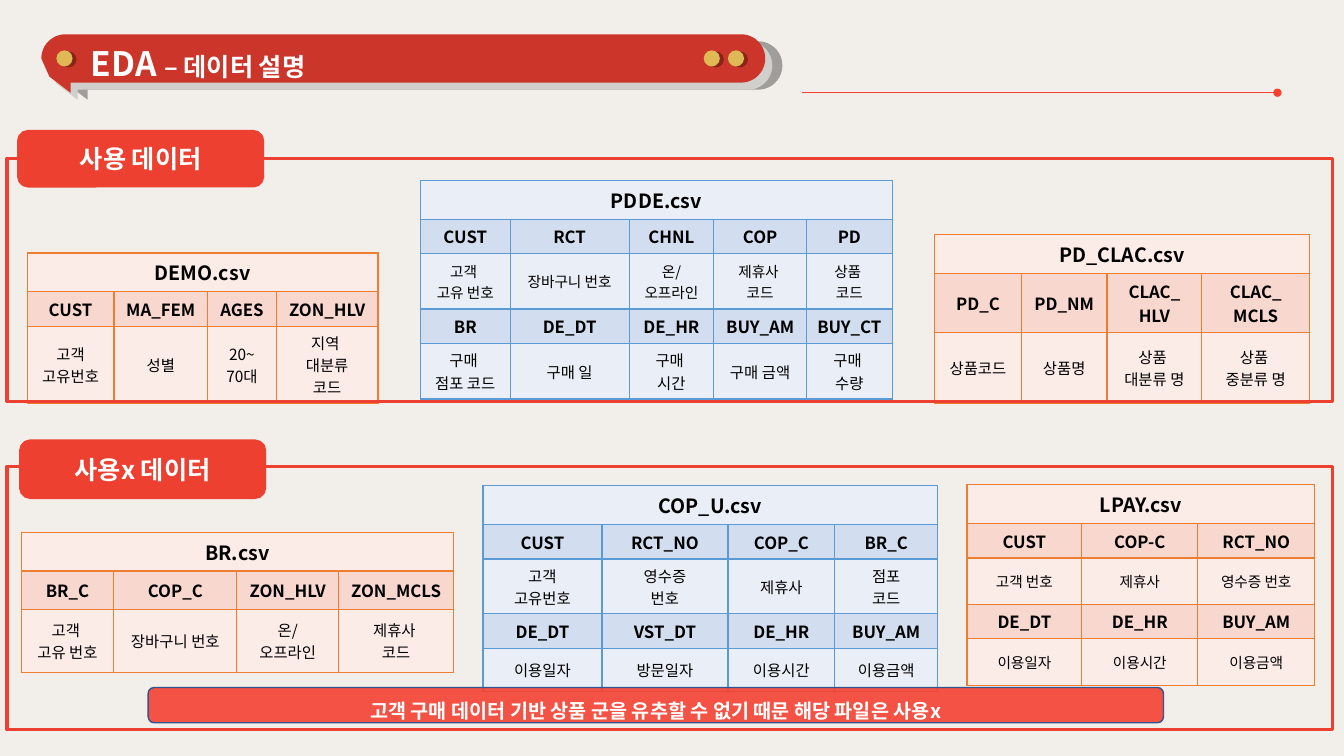
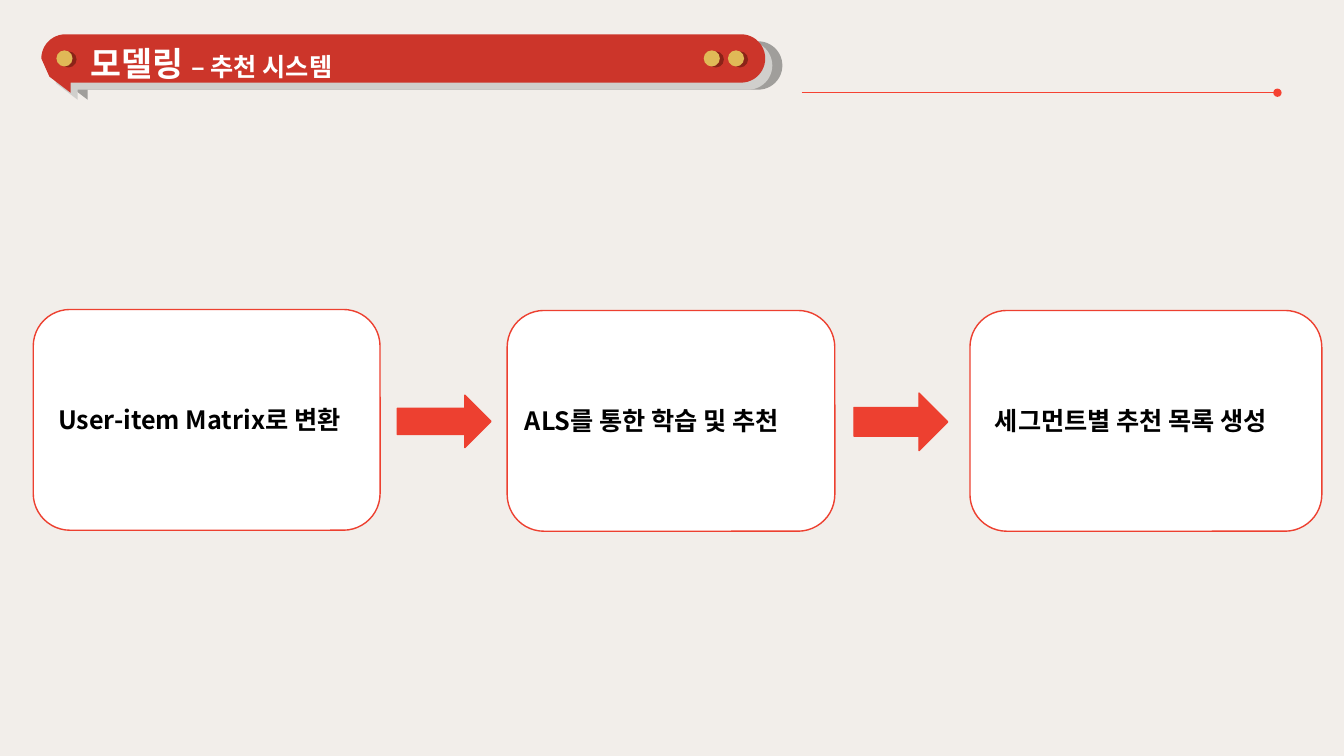
from math import cos, pi, sin

from lxml.etree import SubElement
from pptx import Presentation
from pptx.dml.color import RGBColor
from pptx.enum.shapes import MSO_CONNECTOR, MSO_SHAPE
from pptx.enum.text import MSO_ANCHOR, PP_ALIGN
from pptx.oxml.ns import qn
from pptx.util import Inches, Pt

FONT = "Noto Sans CJK KR"
COLORS = {
    "background": "F2EEEA", "accent": "ED4030", "rule": "F54232",
    "banner": "CC352A", "banner_edge": "D0CFCC", "banner_shadow": "A09E9B",
    "dot": "E0B957", "dot_shadow": "8A2318", "callout_line": "325491",
    "white": "FFFFFF", "black": "000000",
}
PALETTES = {
    "orange": {"line": "ED7D31", "header": "F8D7CE", "body": "FCECE8"},
    "blue": {"line": "5B9BD5", "header": "D2DEEF", "body": "EAEFF7"},
}


def write(frame, text, size=18, color="black", bold=True, align=PP_ALIGN.CENTER, spacing=None):
    for index, line in enumerate(text.split("\n")):
        paragraph = frame.add_paragraph() if index else frame.paragraphs[-1]
        paragraph.alignment = align
        if spacing:
            paragraph.line_spacing = spacing
        run = paragraph.add_run()
        run.text = line
        run.font.size = Pt(size)
        run.font.bold = bold
        run.font.name = FONT
        run.font.color.rgb = RGBColor.from_string(COLORS[color])
        SubElement(run.font._element, qn("a:ea")).set("typeface", FONT)


def paint(shape, fill=None, line=None, width=1):
    shape.shadow.inherit = False
    if fill:
        shape.fill.solid()
        shape.fill.fore_color.rgb = RGBColor.from_string(COLORS[fill])
    else:
        shape.fill.background()
    if line:
        shape.line.color.rgb = RGBColor.from_string(COLORS[line])
        shape.line.width = Pt(width)
    else:
        shape.line.fill.background()
    shape.text_frame.word_wrap = True
    shape.text_frame.vertical_anchor = MSO_ANCHOR.MIDDLE
    return shape


prs = Presentation()
prs.slide_width = Inches(13.33)
prs.slide_height = Inches(7.5)

steps = [i * pi / 24 for i in range(25)]
banner_outline = [(7.35 + 0.24 * sin(a), 0.58 - 0.24 * cos(a)) for a in steps]
banner_outline += [(0.7, 0.82), (0.7, 0.92), (0.49, 0.76)]
banner_outline += [(0.65 - 0.24 * cos(a), 0.58 - 0.24 * sin(a)) for a in steps[:13]]
banner_layers = [(0.17, 0.07, "banner_shadow"), (0.07, 0.07, "banner_edge"), (0, 0, "banner")]

slides = []
for topic, subtitle in [("EDA ", "– 데이터 설명"), ("모델링 ", "– 추천 시스템")]:
    slide = prs.slides.add_slide(prs.slide_layouts[6])
    slides.append(slide)
    slide.background.fill.solid()
    slide.background.fill.fore_color.rgb = RGBColor.from_string(COLORS["background"])

    rule = slide.shapes.add_connector(
        MSO_CONNECTOR.STRAIGHT, Inches(7.95), Inches(0.92), Inches(12.67), Inches(0.92))
    rule.line.color.rgb = RGBColor.from_string(COLORS["rule"])
    rule.line.width = Pt(0.5)
    SubElement(rule.line._get_or_add_ln(), qn("a:tailEnd")).set("type", "oval")
    SubElement(rule._element.spPr, qn("a:effectLst"))

    for dx, dy, color in banner_layers:
        points = [(Inches(x + dx), Inches(y + dy)) for x, y in banner_outline]
        builder = slide.shapes.build_freeform(*points[0])
        builder.add_line_segments(points[1:], close=True)
        banner = paint(builder.convert_to_shape(), color)
    banner.text_frame.margin_left = Inches(0.49)
    write(banner.text_frame, topic, size=24, color="white", align=PP_ALIGN.LEFT)
    write(banner.text_frame, subtitle, color="white", align=PP_ALIGN.LEFT)

    for left in (0.56, 6.98, 7.22):
        for dx, dy, color in [(0.04, 0.01, "dot_shadow"), (0, 0, "dot")]:
            paint(slide.shapes.add_shape(
                MSO_SHAPE.OVAL, Inches(left + dx), Inches(0.5 + dy), Inches(0.16), Inches(0.16)), color)

data_slide, model_slide = slides

used_files = [
    ("DEMO.csv", "orange", 0.27, 2.51, [0.86, 0.93, 0.68, 1.01], [0.28, 0.33, 0.69], [11], [
        ["CUST", "MA_FEM", "AGES", "ZON_HLV"],
        ["고객\n고유번호", "성별", "20~\n70대", "지역 \n대분류\n코드"],
    ]),
    ("PD_CLAC.csv", "orange", 9.27, 2.33, [0.86, 0.85, 0.94, 1.07], [0.26, 0.39, 0.7], [11], [
        ["PD_C", "PD_NM", "CLAC_\nHLV", "CLAC_\nMCLS"],
        ["상품코드", "상품명", "상품 \n대분류 명", "상품 \n중분류 명"],
    ]),
    ("PDDE.csv", "blue", 4.17, 1.79, [0.89, 1.18, 0.84, 0.92, 0.85],
     [0.33, 0.33, 0.55, 0.31, 0.55], [10.5, 11], [
        ["CUST", "RCT", "CHNL", "COP", "PD"],
        ["고객 \n고유 번호", "장바구니 번호", "온/\n오프라인", "제휴사 \n코드", "상품 \n코드"],
        ["BR", "DE_DT", "DE_HR", "BUY_AM", "BUY_CT"],
        ["구매 \n점포 코드", "구매 일", "구매 \n시간", "구매 금액", "구매 \n수량"],
    ]),
]
unused_files = [
    ("LPAY.csv", "orange", 9.59, 4.81, [1.14, 1.15, 1.16],
     [0.24, 0.22, 0.46, 0.25, 0.46], [10.5, 10.5], [
        ["CUST", "COP-C", "RCT_NO"],
        ["고객 번호", "제휴사", "영수증 번호"],
        ["DE_DT", "DE_HR", "BUY_AM"],
        ["이용일자", "이용시간", "이용금액"],
    ]),
    ("BR.csv", "orange", 0.21, 5.28, [0.92, 1.22, 1.01, 1.14], [0.35, 0.38, 0.63], [11], [
        ["BR_C", "COP_C", "ZON_HLV", "ZON_MCLS"],
        ["고객 \n고유 번호", "장바구니 번호", "온/\n오프라인", "제휴사 \n코드"],
    ]),
    ("COP_U.csv", "blue", 4.79, 4.82, [1.18, 1.25, 1.06, 1.02],
     [0.23, 0.21, 0.43, 0.21, 0.43], [11, 11], [
        ["CUST", "RCT_NO", "COP_C", "BR_C"],
        ["고객\n고유번호", "영수증\n번호", "제휴사", "점포\n코드"],
        ["DE_DT", "VST_DT", "DE_HR", "BUY_AM"],
        ["이용일자", "방문일자", "이용시간", "이용금액"],
    ]),
]
sections = [
    ("사용 데이터", used_files, (0.07, 1.57, 13.15, 2.41), (0.19, 1.31, 2.41, 0.53)),
    ("사용x 데이터", unused_files, (0.07, 4.63, 13.15, 2.61), (0.21, 4.38, 2.41, 0.55)),
]

for heading, files, border_box, heading_box in sections:
    for name, palette_name, left, top, widths, heights, body_sizes, fields in files:
        palette = PALETTES[palette_name]
        table = data_slide.shapes.add_table(
            len(heights), len(widths), Inches(left), Inches(top),
            Inches(sum(widths)), Inches(sum(heights))).table
        for column, width in zip(table.columns, widths):
            column.width = Inches(width)
        for row, height in zip(table.rows, heights):
            row.height = Inches(height)
        table.cell(0, 0).merge(table.cell(0, len(widths) - 1))
        contents = [[name] + [""] * (len(widths) - 1)] + fields
        for r, texts in enumerate(contents):
            is_header = r % 2 == 1
            size = 14 if r == 0 else 12 if is_header else body_sizes[r // 2 - 1]
            for c, text in enumerate(texts):
                cell = table.cell(r, c)
                cell.vertical_anchor = MSO_ANCHOR.MIDDLE
                for side in ("lnL", "lnR", "lnT", "lnB"):
                    edge = SubElement(cell._tc.get_or_add_tcPr(), qn("a:" + side), w=str(Pt(1)))
                    edge_fill = SubElement(edge, qn("a:solidFill"))
                    SubElement(edge_fill, qn("a:srgbClr")).set("val", palette["line"])
                cell.fill.solid()
                cell.fill.fore_color.rgb = RGBColor.from_string(
                    palette["header" if is_header else "body"])
                if text:
                    write(cell.text_frame, text, size=size, bold=r == 0 or is_header)

    paint(data_slide.shapes.add_shape(
        MSO_SHAPE.RECTANGLE, *map(Inches, border_box)), line="accent", width=2.25)
    heading_tab = paint(data_slide.shapes.add_shape(
        MSO_SHAPE.ROUNDED_RECTANGLE, *map(Inches, heading_box)), "accent", "accent", 3)
    write(heading_tab.text_frame, heading, color="white")

reason = paint(data_slide.shapes.add_shape(
    MSO_SHAPE.ROUNDED_RECTANGULAR_CALLOUT, Inches(1.47), Inches(6.82), Inches(10.07), Inches(0.35)),
    "rule", "callout_line")
for index, value in enumerate((-0.5, 0.32, 0.17)):
    reason.adjustments[index] = value
reason_color = reason._element.spPr.find(qn("a:solidFill")).find(qn("a:srgbClr"))
SubElement(reason_color, qn("a:alpha")).set("val", "90000")
write(reason.text_frame, "고객 구매 데이터 기반 상품 군을 유추할 수 없기 때문 해당 파일은 사용x",
      size=14, color="white", spacing=1.5)

stages = [
    ("User-item Matrix로 변환", 0.33, 3.07, 3.44, 0.14),
    ("ALS를 통한 학습 및 추천", 5.03, 3.08, 3.25, 0.07),
    ("세그먼트별 추천 목록 생성", 9.62, 3.08, 3.49, 0.14),
]
for label, left, top, width, indent in stages:
    stage = paint(model_slide.shapes.add_shape(
        MSO_SHAPE.ROUNDED_RECTANGLE, Inches(left), Inches(top), Inches(width), Inches(2.19)),
        "white", "accent")
    stage.text_frame.margin_left = Inches(indent)
    stage.text_frame.margin_right = 0
    write(stage.text_frame, label, align=PP_ALIGN.LEFT)

for left, top, height in [(3.94, 3.92, 0.52), (8.47, 3.9, 0.57)]:
    paint(model_slide.shapes.add_shape(
        MSO_SHAPE.RIGHT_ARROW, Inches(left), Inches(top), Inches(0.93), Inches(height)),
        "accent", "accent")

prs.save("out.pptx")
